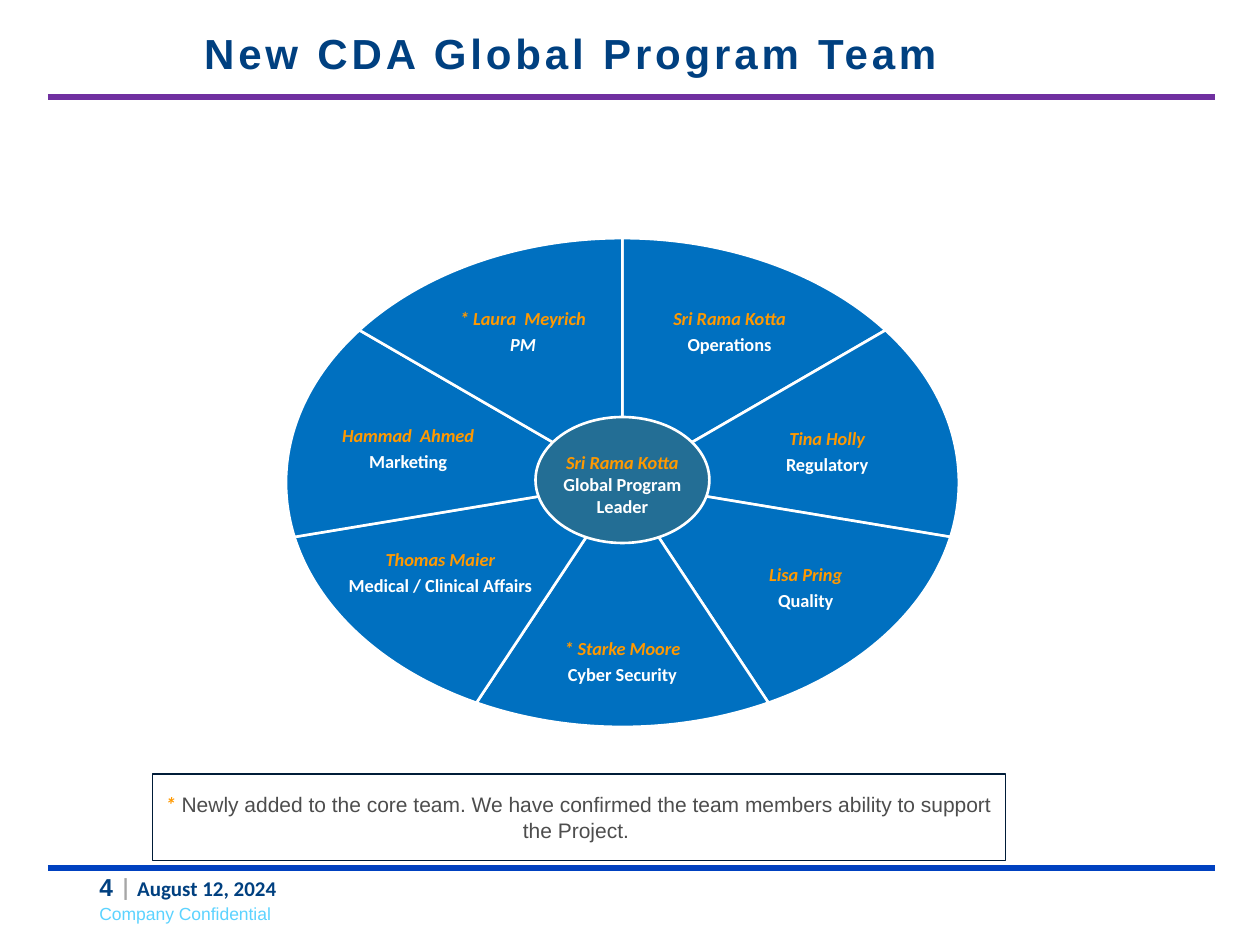
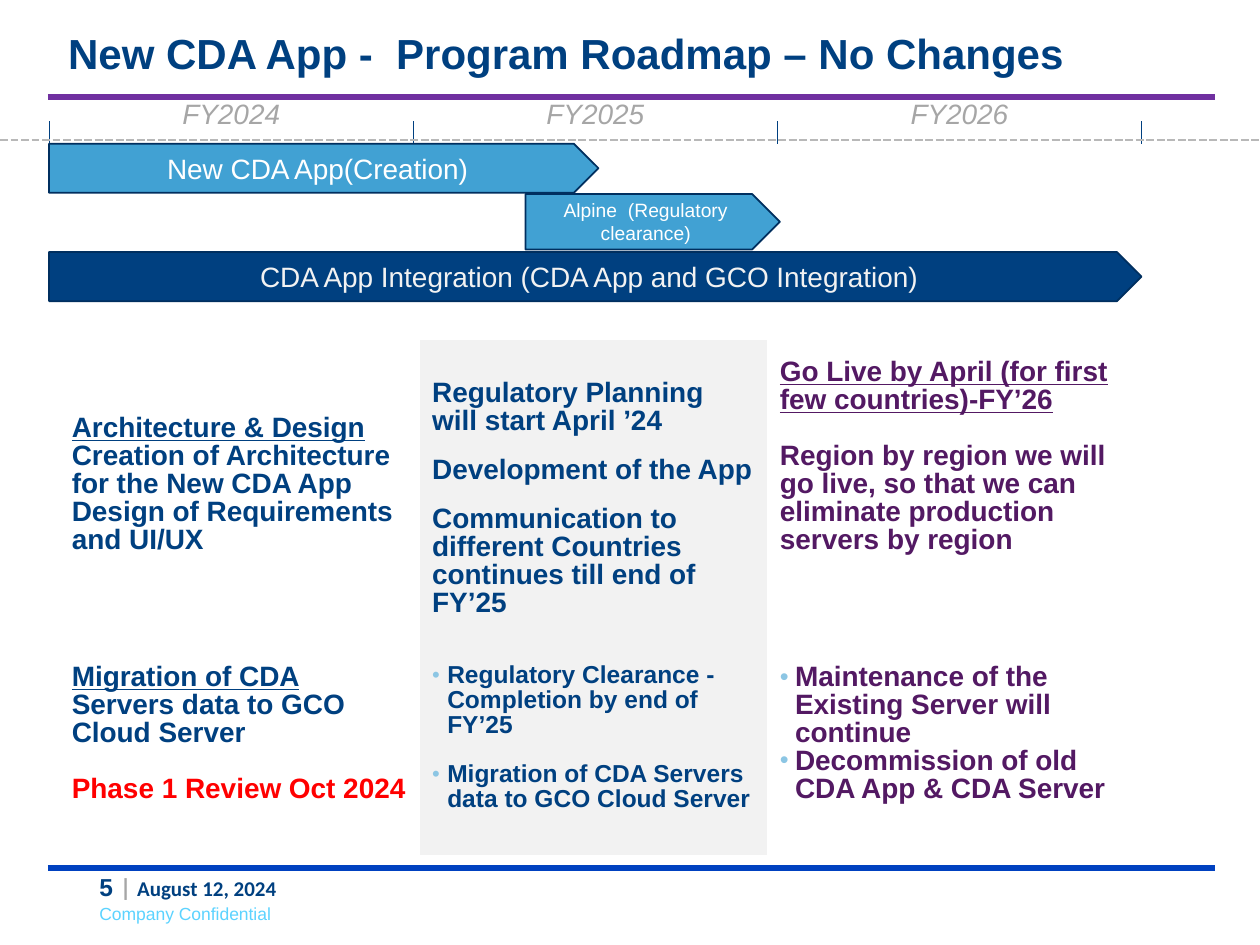
import math

import pptx
import pptx.dml.color
import pptx.enum.dml
import pptx.enum.shapes
import pptx.enum.text
import pptx.oxml.ns
import pptx.util
from lxml import etree

Inches = pptx.util.Inches
Pt = pptx.util.Pt
SHAPE = pptx.enum.shapes.MSO_SHAPE
ALIGN = pptx.enum.text.PP_ALIGN
ANCHOR = pptx.enum.text.MSO_ANCHOR
qn = pptx.oxml.ns.qn

COLORS = {
    "navy": "004080", "purple": "7030A0", "blue": "0041C0", "cyan": "5CD3FF",
    "gray": "A6A6A6", "dash": "B8B8B8", "wedge": "0070C0", "hub": "236E95",
    "orange": "FF9900", "white": "FFFFFF", "ink": "001C38", "body": "4D4D4D",
    "pale": "F2F2F2", "plum": "531963", "red": "FF0000", "bar": "41A1D3",
    "outline": "002F5F", "bullet": "8CC6E4",
}
DATE = "August 12, 2024"
CONFIDENTIAL = "Company Confidential"
NO_STYLE = "{2D5ABB26-0587-4C30-8999-92F81FD0307C}"

TEAM_TITLE = "New CDA Global Program Team"
WHEEL_CENTER = (4.94, 3.83)
WHEEL_RADII = (2.67, 1.94)
HUB_BOX = (4.25, 3.31, 1.38, 1)
TEAM = [
    ("Sri Rama Kotta", "Operations", (5.33, 2.44, 0.92)),
    ("Tina Holly", "Regulatory", (6.23, 3.39, 0.67)),
    ("Lisa Pring", "Quality", (6.1, 4.47, 0.59)),
    ("* Starke Moore", "Cyber Security", (4.47, 5.06, 0.94)),
    ("Thomas Maier", "Medical / Clinical Affairs", (2.75, 4.35, 1.49)),
    ("Hammad  Ahmed", "Marketing", (2.71, 3.37, 1.06)),
    ("* Laura  Meyrich", "PM", (3.64, 2.44, 1.02)),
]
LEADER = ["Sri Rama Kotta", "Global Program", "Leader"]
NOTE = (" Newly added to the core team. We have confirmed the team members "
        "ability to support the Project. ")

ROADMAP_TITLE = "New CDA App -  Program Roadmap – No Changes"
YEARS = ["FY2024", "FY2025", "FY2026"]
YEAR_LEFT, YEAR_WIDTH = 0.39, 2.89
BARS = [
    ("CDA App Integration (CDA App and GCO Integration)", (0.39, 2, 8.67, 0.39), "navy", "pale", 16),
    ("New CDA App(Creation)", (0.39, 1.14, 4.36, 0.39), "bar", "white", 16),
    ("Alpine  (Regulatory clearance)", (4.17, 1.54, 2.02, 0.44), "bar", "white", 11),
]
PLAN_COLUMNS = [2.86, 2.76, 2.97]
PLAN_ROWS = [2.52, 1.57]
UNDERLINED = {"underline": True}
PLAN = [
    [
        {"color": "navy", "bottom": 0.27, "paragraphs": [
            (12, [("Architecture & Design", UNDERLINED)]),
            (0, [("Creation of Architecture for the New CDA App", {})]),
            (0, [("Design of Requirements and UI/UX", {})])]},
        {"color": "navy", "paragraphs": [
            (12, [("Regulatory Planning will start April ’24", {})]),
            (12, [("Development of the App", {})]),
            (12, [("Communication to different Countries continues till end of FY’25", {})])]},
        {"color": "plum", "bottom": 0.72, "paragraphs": [
            (0, [("Go Live by April (for first few countries)-FY’26", UNDERLINED)]),
            (16, [("Region by region we will go live, so that we can eliminate "
                   "production servers by region", {})])]},
    ],
    [
        {"color": "navy", "paragraphs": [
            (0, [("Migration of CDA ", UNDERLINED), ("Servers data to GCO Cloud Server", {})]),
            (16, [("Phase 1 Review Oct 2024", {"color": "red"})])]},
        {"color": "navy", "size": 14, "bullets": True, "paragraphs": [
            (0, [("Regulatory Clearance - Completion by end of FY’25", {})]),
            (14, [("Migration of CDA Servers data to GCO Cloud Server", {})])]},
        {"color": "plum", "bullets": True, "paragraphs": [
            (0, [("Maintenance of the Existing Server will continue", {})]),
            (0, [("Decommission of old CDA App & CDA Server", {})])]},
    ],
]


def rgb(name):
    return pptx.dml.color.RGBColor.from_string(COLORS[name])


def add_run(paragraph, text, size, color, font="Arial", bold=False, italic=False, underline=False):
    run = paragraph.add_run()
    run.text = text
    run.font.name = font
    run.font.size = Pt(size)
    run.font.color.rgb = rgb(color)
    run.font.bold = bold
    run.font.italic = italic
    run.font.underline = underline
    return run


def style_shape(shape, fill, line=None, width=1):
    shape.shadow.inherit = False
    shape.fill.solid()
    shape.fill.fore_color.rgb = rgb(fill)
    if line:
        shape.line.color.rgb = rgb(line)
        shape.line.width = Pt(width)
    else:
        shape.line.fill.background()


def add_preset(slide, preset, box, fill, line=None, width=1):
    shape = slide.shapes.add_shape(preset, *map(Inches, box))
    style_shape(shape, fill, line, width)
    shape.text_frame.word_wrap = True
    shape.text_frame.vertical_anchor = ANCHOR.MIDDLE
    shape.text_frame.paragraphs[0].alignment = ALIGN.CENTER
    return shape


def add_line(slide, start, end, color, width):
    connector = slide.shapes.add_connector(
        pptx.enum.shapes.MSO_CONNECTOR.STRAIGHT, *map(Inches, start + end))
    connector.line.color.rgb = rgb(color)
    connector.line.width = Pt(width)
    etree.SubElement(connector._element.spPr, qn("a:effectLst"))
    return connector


def add_text_box(slide, box, wrap):
    frame = slide.shapes.add_textbox(*map(Inches, box)).text_frame
    frame.word_wrap = wrap
    return frame.paragraphs[0]


def add_slide(presentation, number, title, title_box, letter_spacing=0):
    slide = presentation.slides.add_slide(presentation.slide_layouts[5])
    add_run(add_text_box(slide, (0.69, 7.12, 1.59, 0.27), False), CONFIDENTIAL, 10, "cyan")
    footer = add_text_box(slide, (0.69, 6.87, 2.92, 0.34), True)
    add_run(footer, f"{number} ", 14, "navy", bold=True)
    add_run(footer, "| ", 14, "gray", "Calibri", bold=True)
    add_run(footer, DATE, 12, "navy", "Calibri", bold=True)
    for y, color in ((6.89, "blue"), (0.77, "purple")):
        add_line(slide, (0.38, y), (9.64, y), color, 3.5)

    heading = slide.shapes.title
    heading.left, heading.top, heading.width, heading.height = map(Inches, title_box)
    frame = heading.text_frame
    frame.vertical_anchor = ANCHOR.BOTTOM
    frame.word_wrap = True
    frame.auto_size = pptx.enum.text.MSO_AUTO_SIZE.NONE
    paragraph = frame.paragraphs[0]
    paragraph.alignment = ALIGN.LEFT
    paragraph.line_spacing = 0.9
    run = add_run(paragraph, title, 24, "navy", bold=True)
    if letter_spacing:
        run.font._element.set("spc", str(round(letter_spacing * 100)))
    return slide


def wheel_point(x, y):
    return (Inches(WHEEL_CENTER[0] + WHEEL_RADII[0] * x),
            Inches(WHEEL_CENTER[1] - WHEEL_RADII[1] * y))


def add_wedge(slide, index):
    step = 2 * math.pi / len(TEAM)
    handle = 4 / 3 * math.tan(step / 4)
    start, end = step * index, step * (index + 1)
    sin_start, cos_start = math.sin(start), math.cos(start)
    sin_end, cos_end = math.sin(end), math.cos(end)
    outline = [
        wheel_point(sin_start + handle * cos_start, cos_start - handle * sin_start),
        wheel_point(sin_end - handle * cos_end, cos_end + handle * sin_end),
        wheel_point(sin_end, cos_end),
        wheel_point(0, 0),
    ]
    builder = slide.shapes.build_freeform(*wheel_point(sin_start, cos_start), scale=1.0)
    builder.add_line_segments(outline, close=True)
    wedge = builder.convert_to_shape()
    style_shape(wedge, "wedge", "white", 1.5)

    segments = list(wedge._element.iter(qn("a:lnTo")))[:3]
    curve = etree.Element(qn("a:cubicBezTo"))
    segments[0].addprevious(curve)
    for segment in segments:
        curve.append(segment[0])
        segment.getparent().remove(segment)


def add_label(slide, box, fill):
    frame = add_preset(slide, SHAPE.RECTANGLE, box, fill).text_frame
    frame.margin_left = frame.margin_right = frame.margin_top = frame.margin_bottom = 0
    frame.word_wrap = False
    frame.vertical_anchor = ANCHOR.TOP
    return frame


def add_label_run(paragraph, text, color, italic):
    paragraph.alignment = ALIGN.CENTER
    paragraph.space_before = Pt(2.1)
    add_run(paragraph, text, 10.5, color, "Calibri", bold=True, italic=italic)


def build_team(presentation):
    slide = add_slide(presentation, 4, TEAM_TITLE, (1.52, 0.13, 7.72, 0.54), 2.2)
    for index in range(len(TEAM)):
        add_wedge(slide, index)
    add_preset(slide, SHAPE.OVAL, HUB_BOX, "hub", "white", 1.5)
    leader = add_label(slide, (4.46, 3.58, 0.96, 0.53), "hub").paragraphs[0]
    for index, text in enumerate(LEADER):
        if index:
            leader.add_line_break()
        add_label_run(leader, text, "white" if index else "orange", index == 0)
    for name, role, (left, top, width) in TEAM:
        frame = add_label(slide, (left, top, width, 0.39), "wedge")
        add_label_run(frame.paragraphs[0], name, "orange", True)
        add_label_run(frame.add_paragraph(), role, "white", role == "PM")
    note = add_preset(slide, SHAPE.RECTANGLE, (1.21, 6.14, 6.77, 0.69), "white", "ink")
    paragraph = note.text_frame.paragraphs[0]
    add_run(paragraph, "*", 12, "orange", "Calibri", bold=True, italic=True)
    add_run(paragraph, NOTE, 12, "body")


def add_plain_table(slide, left, top, columns, rows):
    frame = slide.shapes.add_table(len(rows), len(columns), Inches(left), Inches(top),
                                   Inches(sum(columns)), Inches(sum(rows)))
    table = frame.table
    table.first_row = table.horz_banding = False
    table._tbl.tblPr.find(qn("a:tableStyleId")).text = NO_STYLE
    for column, width in zip(table.columns, columns):
        column.width = Inches(width)
    for row, height in zip(table.rows, rows):
        row.height = Inches(height)
    for cell in table.iter_cells():
        cell.fill.background()
    return table


def add_bullet(paragraph):
    properties = paragraph._p.get_or_add_pPr()
    properties.set("marL", str(Inches(0.12)))
    properties.set("indent", str(-Inches(0.12)))
    color = etree.SubElement(properties, qn("a:buClr"))
    etree.SubElement(color, qn("a:srgbClr"), val=COLORS["bullet"])
    etree.SubElement(properties, qn("a:buSzPct"), val="90000")
    etree.SubElement(properties, qn("a:buFont"), typeface="Arial")
    etree.SubElement(properties, qn("a:buChar"), char="•")


def fill_plan_cell(cell, content):
    cell.margin_bottom = Inches(content.get("bottom", 0.05))
    for index, (space, runs) in enumerate(content["paragraphs"]):
        frame = cell.text_frame
        paragraph = frame.add_paragraph() if index else frame.paragraphs[0]
        paragraph.line_spacing = 0.9
        paragraph.space_before = Pt(space)
        if content.get("bullets"):
            add_bullet(paragraph)
        for text, style in runs:
            add_run(paragraph, text, **{"size": content.get("size", 16),
                                        "color": content["color"], "bold": True, **style})


def build_roadmap(presentation):
    slide = add_slide(presentation, 5, ROADMAP_TITLE, (0.44, 0.24, 9.56, 0.43))
    plan = add_plain_table(slide, 0.47, 2.7, PLAN_COLUMNS, PLAN_ROWS)
    for row, contents in enumerate(PLAN):
        for column, content in enumerate(contents):
            cell = plan.cell(row, column)
            cell.vertical_anchor = ANCHOR.TOP if row else ANCHOR.MIDDLE
            if column == 1:
                cell.fill.solid()
                cell.fill.fore_color.rgb = rgb("pale")
            fill_plan_cell(cell, content)

    years = add_plain_table(slide, YEAR_LEFT, 0.74, [YEAR_WIDTH] * len(YEARS), [0.37])
    for column, year in enumerate(YEARS):
        paragraph = years.cell(0, column).text_frame.paragraphs[0]
        paragraph.alignment = ALIGN.CENTER
        add_run(paragraph, year, 16, "gray", italic=True)
    for index in range(len(YEARS) + 1):
        x = YEAR_LEFT + index * YEAR_WIDTH
        add_line(slide, (x, 1.14), (x, 0.96), "navy", 0.5)
    axis = add_line(slide, (0, 1.11), (10, 1.11), "dash", 1.5)
    axis.line.dash_style = pptx.enum.dml.MSO_LINE.SQUARE_DOT

    for text, box, fill, color, size in BARS:
        bar = add_preset(slide, SHAPE.PENTAGON, box, fill, "outline")
        add_run(bar.text_frame.paragraphs[0], text, size, color)


def main():
    presentation = pptx.Presentation()
    presentation.slide_width = Inches(10)
    presentation.slide_height = Inches(7.5)
    build_team(presentation)
    build_roadmap(presentation)
    presentation.save("out.pptx")


if __name__ == "__main__":
    main()
